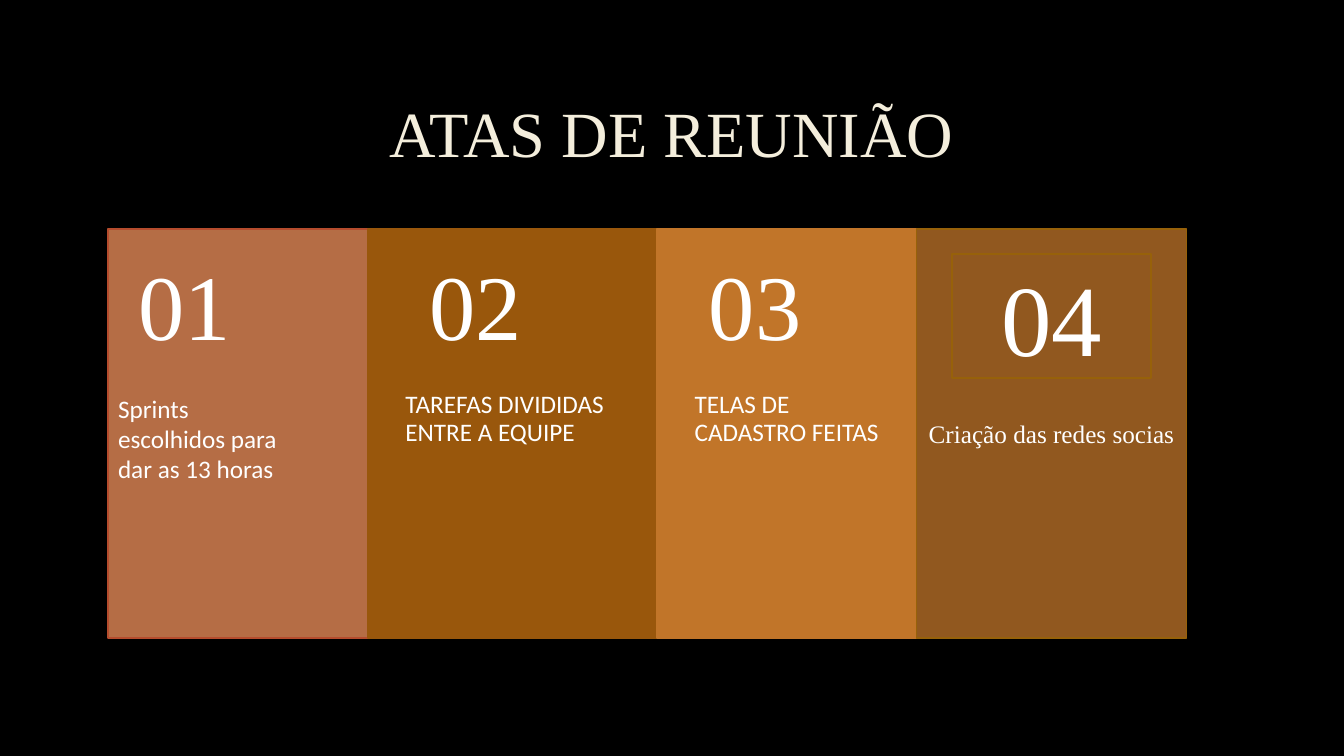
"""Build the slide of meeting minutes with four numbered panels."""
from typing import NamedTuple

from pptx import Presentation
from pptx.dml.color import RGBColor
from pptx.enum.shapes import MSO_SHAPE
from pptx.enum.text import MSO_ANCHOR, PP_ALIGN
from pptx.util import Inches, Pt

RECT = MSO_SHAPE.RECTANGLE
TOP, MID = MSO_ANCHOR.TOP, MSO_ANCHOR.MIDDLE
LEFT, MIDDLE = PP_ALIGN.LEFT, PP_ALIGN.CENTER
WIDE, HIGH = Inches(13.33), Inches(7.5)
SERIF, SANS = "Times New Roman", "Calibri"
WHITE, CREAM, BLACK, EDGE = "FFFFFF", "F4EEDC", "000000", "97610A"
ROW, DEPTH, HEAD = 30.27, 54.13, 21.6


class Box(NamedTuple):
    """A frame in percent of the slide's width and height."""
    left: float
    top: float
    width: float
    height: float


class Pad(NamedTuple):
    """Text margins in percent of the slide's width and height."""
    side: float = 0.75
    top: float = 0.67
    base: float = 0.67


class Panel(NamedTuple):
    """A coloured column."""
    box: Box
    fill: str
    line: str


class Label(NamedTuple):
    """A text with its frame and style."""
    text: str
    box: Box
    size: int
    font: str
    pad: Pad = Pad()
    anchor: MSO_ANCHOR = TOP
    align: PP_ALIGN = LEFT
    space: float = 1.0
    color: str = WHITE


DIGIT, NOTE = Pad(2.78, 2.4, 2.4), Pad(2.78, 0, 4.8)

PANELS = [
    Panel(Box(8.03, ROW, 19.5, DEPTH), "B56D45", "B54C2D"),
    Panel(Box(27.38, ROW, 21.61, DEPTH), "99570C", "99570C"),
    Panel(Box(48.91, ROW, 20.26, DEPTH), "C17529", "C17529"),
    Panel(Box(68.19, ROW, 20.1, DEPTH), "91581F", EDGE),
]
BADGE = Box(70.82, 33.6, 14.85, 16.4)

LABELS = [
    Label("ATAS DE REUNIÃO", Box(7.5, 8.93, 84.92, 18.4), 46, SERIF,
          anchor=MID, align=MIDDLE, space=0.9, color=CREAM),
    Label("01", Box(7.5, ROW, 27.83, HEAD), 66, SERIF, DIGIT, MID, space=0.9),
    Label("02", Box(29.18, ROW, 22.28, HEAD), 66, SERIF, DIGIT, MID, space=0.9),
    Label("03", Box(49.96, ROW, 30.38, HEAD), 66, SERIF, DIGIT, MID, space=0.9),
    Label("04", BADGE, 72, SERIF, anchor=MID, align=MIDDLE),
    Label("Sprints escolhidos para dar as 13 horas",
          Box(8.03, 51.33, 13.95, 13.47), 18, SANS),
    Label("TAREFAS DIVIDIDAS ENTRE A EQUIPE",
          Box(27.38, 51.87, 21.61, 32.4), 18, SANS, NOTE, space=0.9),
    Label("TELAS DE CADASTRO FEITAS",
          Box(48.91, 51.87, 20.26, 32.4), 18, SANS, NOTE, space=0.9),
    Label("Criação das redes socias", PANELS[-1].box, 18, SERIF,
          anchor=MID, align=MIDDLE),
]


def tint(code: str) -> RGBColor:
    """Turn a hex string into a colour."""
    return RGBColor.from_string(code)


def across(share: float) -> int:
    """Turn a share of the width into a length."""
    return round(WIDE * share / 100)


def down(share: float) -> int:
    """Turn a share of the height into a length."""
    return round(HIGH * share / 100)


def place(box: Box) -> tuple[int, int, int, int]:
    """Turn a box into slide lengths."""
    return across(box.left), down(box.top), across(box.width), down(box.height)


def draw_rect(slide, box: Box, line: str, fill: str = "") -> None:
    """Draw an outlined rectangle, filled if a fill is given."""
    shape = slide.shapes.add_shape(RECT, *place(box))
    shape.shadow.inherit = False
    shape.line.color.rgb = tint(line)
    shape.line.width = Pt(1.25)
    if fill:
        shape.fill.solid()
        shape.fill.fore_color.rgb = tint(fill)
    else:
        shape.fill.background()


def draw_label(slide, label: Label) -> None:
    """Draw one text box."""
    frame = slide.shapes.add_textbox(*place(label.box)).text_frame
    frame.word_wrap = True
    frame.vertical_anchor = label.anchor
    frame.margin_left = frame.margin_right = across(label.pad.side)
    frame.margin_top = down(label.pad.top)
    frame.margin_bottom = down(label.pad.base)
    para = frame.paragraphs[0]
    para.text = label.text
    para.alignment = label.align
    para.line_spacing = label.space
    para.font.size = Pt(label.size)
    para.font.name = label.font
    para.font.color.rgb = tint(label.color)


def main() -> None:
    """Build and save the deck."""
    deck = Presentation()
    deck.slide_width, deck.slide_height = WIDE, HIGH
    slide = deck.slides.add_slide(deck.slide_layouts[6])
    slide.background.fill.solid()
    slide.background.fill.fore_color.rgb = tint(BLACK)
    for panel in PANELS:
        draw_rect(slide, panel.box, panel.line, panel.fill)
    draw_rect(slide, BADGE, EDGE)
    for label in LABELS:
        draw_label(slide, label)
    deck.save("out.pptx")


if __name__ == "__main__":
    main()
